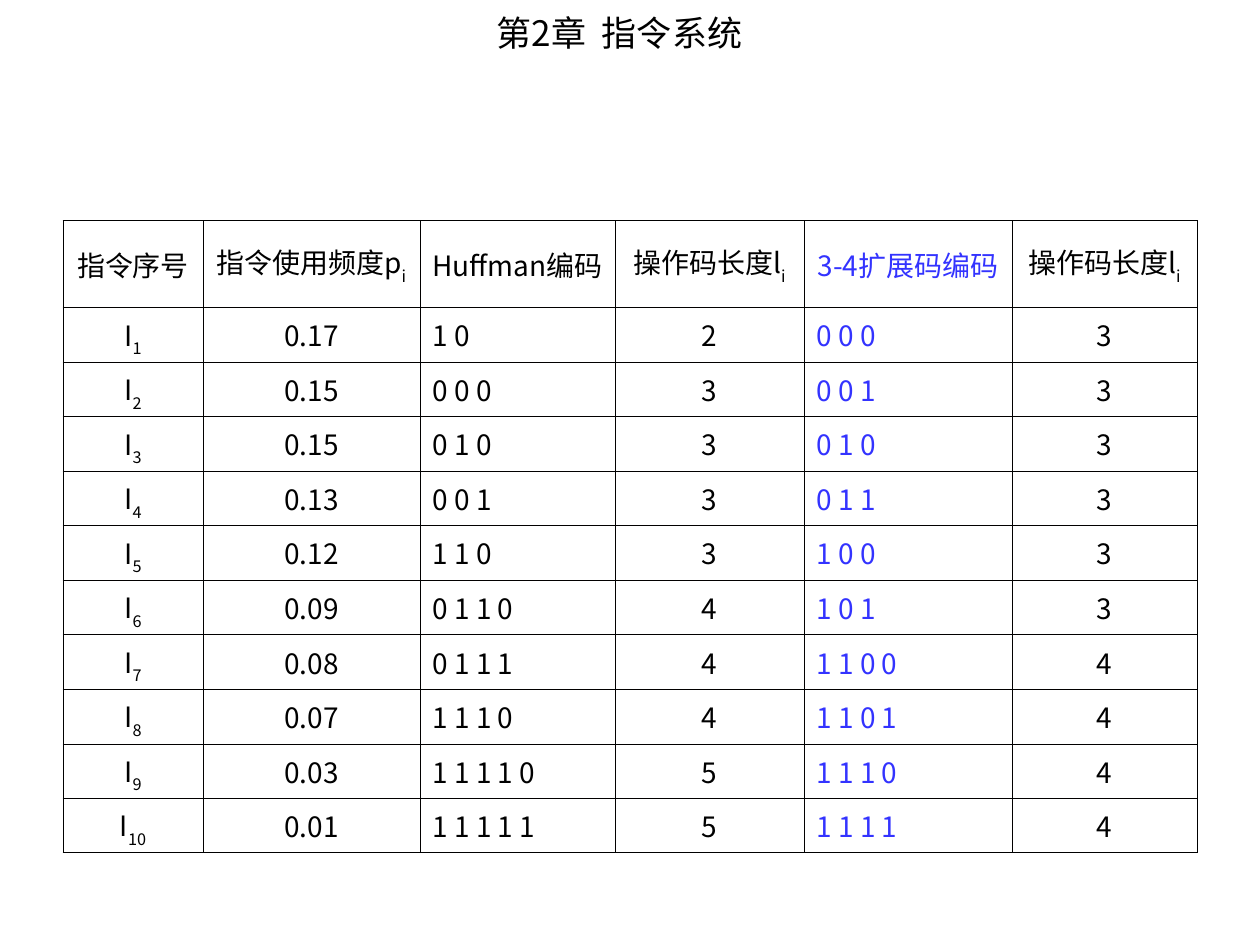
from lxml.etree import SubElement
from pptx import Presentation
from pptx.dml.color import RGBColor
from pptx.enum.text import MSO_ANCHOR, PP_ALIGN
from pptx.oxml.ns import qn
from pptx.util import Pt

BLACK = RGBColor(0x00, 0x00, 0x00)
BLUE = RGBColor(0x33, 0x33, 0xFF)
GRID = RGBColor(0x01, 0x00, 0x00)
LATIN_FONT = "Arial"
CJK_FONT = "Noto Sans CJK SC"

# Column headings: text and subscript
HEADINGS = [
    ("指令序号", ""),
    ("指令使用频度p", "i"),
    ("Huffman编码", ""),
    ("操作码长度l", "i"),
    ("3-4扩展码编码", ""),
    ("操作码长度l", "i"),
]
# Frequency, Huffman code and 3-4 extended code of each instruction
INSTRUCTIONS = [
    ("0.17", "10", "000"),
    ("0.15", "000", "001"),
    ("0.15", "010", "010"),
    ("0.13", "001", "011"),
    ("0.12", "110", "100"),
    ("0.09", "0110", "101"),
    ("0.08", "0111", "1100"),
    ("0.07", "1110", "1101"),
    ("0.03", "11110", "1110"),
    ("0.01", "11111", "1111"),
]
COLUMN_WIDTHS = [80, 124, 111.5, 108, 118.8, 105.7]
HEADER_HEIGHT, ROW_HEIGHT = 49.7, 31.17
HUFFMAN_COLUMN, EXTENDED_COLUMN = 2, 4


class SlideBuilder:
    """Holds the slide and its text and border style."""

    title_size, cell_size = 20, 16
    outer_width, inner_width = 0.45, 0.06

    def __init__(self, slide):
        self.slide = slide

    def title(self, spans, left, top, width, height):
        box = self.slide.shapes.add_textbox(Pt(left), Pt(top), Pt(width), Pt(height))
        frame = box.text_frame
        frame.word_wrap = True
        frame.vertical_anchor = MSO_ANCHOR.MIDDLE
        para = frame.paragraphs[0]
        para.alignment = PP_ALIGN.CENTER
        para.font.size = Pt(self.title_size)
        para.font.color.rgb = BLACK
        for text, font_name in spans:
            span = para.add_run()
            span.text = text
            span.font.name = font_name

    def table(self, rows, left, top):
        heights = [HEADER_HEIGHT] + [ROW_HEIGHT] * (len(rows) - 1)
        frame = self.slide.shapes.add_table(
            len(rows), len(COLUMN_WIDTHS), Pt(left), Pt(top),
            Pt(sum(COLUMN_WIDTHS)), Pt(sum(heights)))
        table = frame.table
        table.first_row = table.horz_banding = False
        for column, width in zip(table.columns, COLUMN_WIDTHS):
            column.width = Pt(width)
        last_row, last_column = len(rows) - 1, len(COLUMN_WIDTHS) - 1
        for r, row in enumerate(rows):
            table.rows[r].height = Pt(heights[r])
            for c, (text, subscript) in enumerate(row):
                is_code = r > 0 and c in (HUFFMAN_COLUMN, EXTENDED_COLUMN)
                cell = table.cell(r, c)
                self.cell_text(
                    cell, text, subscript,
                    BLUE if c == EXTENDED_COLUMN else BLACK,
                    PP_ALIGN.LEFT if is_code else PP_ALIGN.CENTER)
                self.cell_borders(cell, {
                    "a:lnL": c == 0, "a:lnR": c == last_column,
                    "a:lnT": r == 0, "a:lnB": r == last_row})
                cell.fill.background()

    def cell_text(self, cell, text, subscript, color, alignment):
        cell.vertical_anchor = MSO_ANCHOR.MIDDLE
        para = cell.text_frame.paragraphs[0]
        para.alignment = alignment
        para.font.size = Pt(self.cell_size)
        para.font.name = CJK_FONT
        para.font.color.rgb = color
        para.add_run().text = text
        if subscript:
            span = para.add_run()
            span.text = subscript
            span._r.get_or_add_rPr().set("baseline", "-30000")

    def cell_borders(self, cell, sides):
        properties = cell._tc.get_or_add_tcPr()
        for tag, is_outer in sides.items():
            width = self.outer_width if is_outer else self.inner_width
            line = SubElement(properties, qn(tag), w=str(Pt(width)))
            fill = SubElement(line, qn("a:solidFill"))
            SubElement(fill, qn("a:srgbClr"), val=str(BLACK if is_outer else GRID))


def main():
    deck = Presentation()
    deck.slide_width, deck.slide_height = Pt(720), Pt(540)
    page = SlideBuilder(deck.slides.add_slide(deck.slide_layouts[6]))

    # Chapter title
    page.title([("第", LATIN_FONT), ("2", CJK_FONT), ("章  指令系统", LATIN_FONT)],
               48, 0, 612, 37.5)

    # Code comparison table; code lengths follow from the codes
    rows = [HEADINGS]
    for number, (frequency, huffman, extended) in enumerate(INSTRUCTIONS, 1):
        rows.append([
            ("I", str(number)),
            (frequency, ""),
            (" ".join(huffman), ""),
            (str(len(huffman)), ""),
            (" ".join(extended), ""),
            (str(len(extended)), ""),
        ])
    page.table(rows, 36, 126)

    deck.save("out.pptx")


if __name__ == "__main__":
    main()
